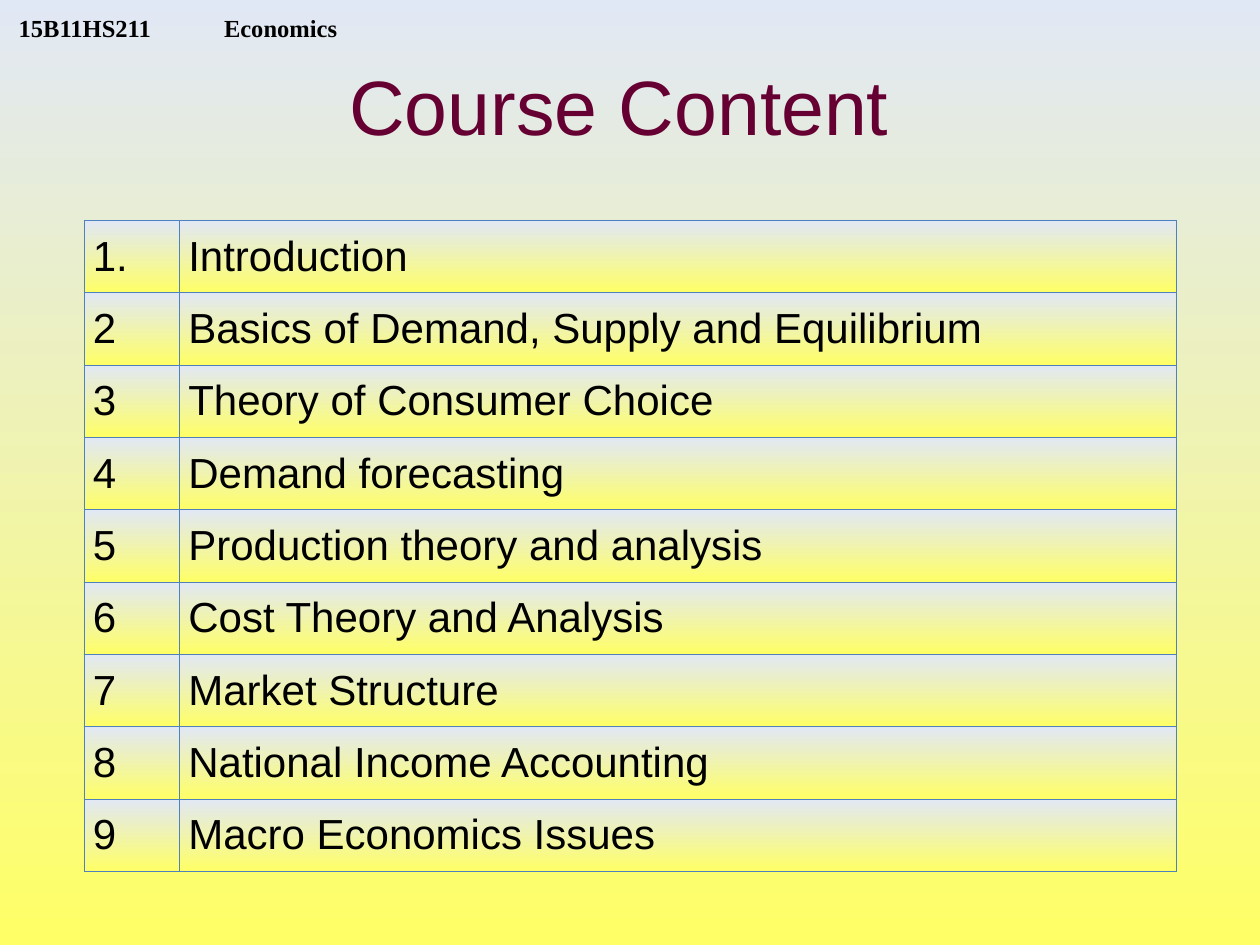
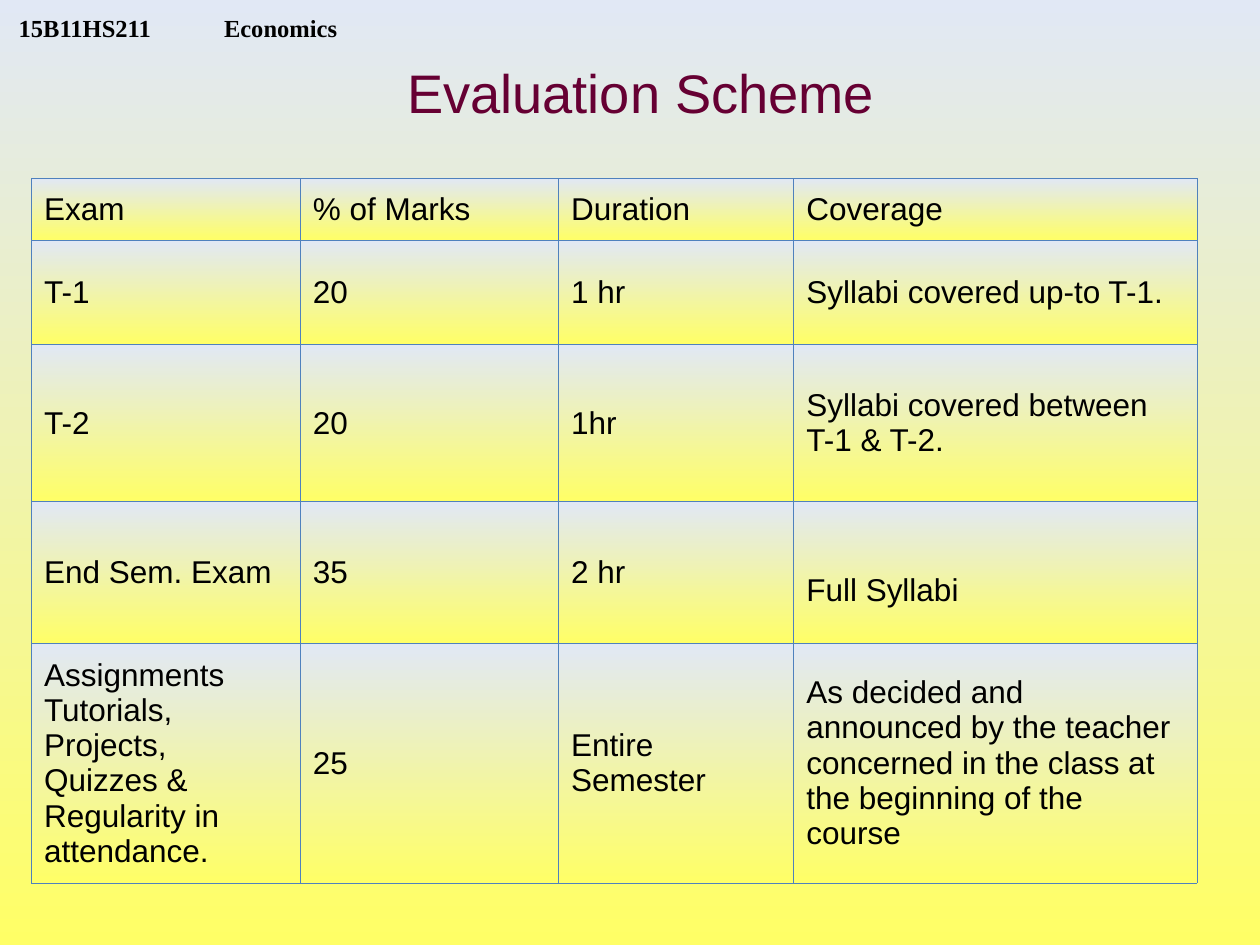
from dataclasses import dataclass

from lxml.etree import SubElement
from pptx import Presentation
from pptx.dml.color import RGBColor
from pptx.enum.text import MSO_ANCHOR as Anchor, MSO_AUTO_SIZE as AutoSize, PP_ALIGN as Align
from pptx.oxml import parse_xml
from pptx.oxml.ns import nsdecls, qn
from pptx.util import Emu, Inches, Pt


@dataclass(frozen=True)
class Theme:
    sky: str = "E1E8F5"
    yellow: str = "FFFF66"
    maroon: str = "660033"
    ink: str = "000000"
    border: str = "4F81BD"
    body_font: str = "Arial"
    header_font: str = "Times New Roman"
    header_size: int = 14
    border_width: float = 0.45


class Deck:
    columns, rows = 120, 90
    title_only = 5

    def __init__(self, theme):
        self.theme = theme
        self.presentation = Presentation()
        self.presentation.slide_width = Inches(10)
        self.presentation.slide_height = Inches(7.5)
        self.paint_gradient(self.presentation.slide_master.background.fill)
        self.slide = None

    def across(self, columns):
        return Emu(round(self.presentation.slide_width * columns / self.columns))

    def down(self, rows):
        return Emu(round(self.presentation.slide_height * rows / self.rows))

    def box(self, left, top, width, height):
        return self.across(left), self.down(top), self.across(width), self.down(height)

    def paint_gradient(self, fill):
        fill.gradient()
        fill.gradient_angle = 90
        for stop, color in zip(fill.gradient_stops, (self.theme.yellow, self.theme.sky)):
            stop.color.rgb = RGBColor.from_string(color)

    def style(self, paragraph, font_name, size, color, bold=False):
        font = paragraph.font
        font.name, font.size, font.bold = font_name, Pt(size), bold
        font.color.rgb = RGBColor.from_string(color)

    def add_slide(self, title, place, size):
        layout = self.presentation.slide_layouts[self.title_only]
        self.slide = self.presentation.slides.add_slide(layout)
        self.add_header("15B11HS211", "Economics")
        self.add_title(title, place, size)

    def add_header(self, code, course):
        shape = self.slide.shapes.add_textbox(*self.box(0.6, 0, 38.4, 4))
        frame = shape.text_frame
        frame.word_wrap = True
        frame.vertical_anchor = Anchor.BOTTOM
        frame.margin_top = frame.margin_bottom = 0
        paragraph = frame.paragraphs[0]
        paragraph.text = f"{code}\t{course}"
        tabs = SubElement(paragraph._p.get_or_add_pPr(), qn("a:tabLst"))
        SubElement(tabs, qn("a:tab"), pos=str(Inches(1.63)), algn="l")
        self.style(paragraph, self.theme.header_font, self.theme.header_size,
                   self.theme.ink, bold=True)

    def add_title(self, text, place, size):
        shape = self.slide.shapes.title
        shape.left, shape.top, shape.width, shape.height = self.box(*place)
        frame = shape.text_frame
        frame.text = text
        frame.auto_size = AutoSize.NONE
        frame.vertical_anchor = Anchor.MIDDLE
        paragraph = frame.paragraphs[0]
        paragraph.alignment = Align.CENTER
        self.style(paragraph, self.theme.body_font, size, self.theme.maroon)

    def add_table(self, records, left, top, widths, heights, size, side_margin):
        place = self.box(left, top, sum(widths), sum(heights))
        table = self.slide.shapes.add_table(len(heights), len(widths), *place).table
        table.first_row = table.horz_banding = False
        for column, width in zip(table.columns, widths):
            column.width = self.across(width)
        for row, height, record in zip(table.rows, heights, records):
            row.height = self.down(height)
            for cell, text in zip(row.cells, record):
                self.fill_cell(cell, text, size, side_margin)
        return table

    def fill_cell(self, cell, text, size, side_margin):
        cell.text = text
        cell.vertical_anchor = Anchor.MIDDLE
        cell.margin_left = cell.margin_right = Inches(side_margin)
        cell.margin_top = cell.margin_bottom = Inches(0.05)
        self.style(cell.text_frame.paragraphs[0], self.theme.body_font, size, self.theme.ink)
        self.paint_gradient(cell.fill)
        properties = cell._tc.get_or_add_tcPr()
        for index, side in enumerate("LRTB"):
            properties.insert(index, parse_xml(
                f'<a:ln{side} {nsdecls("a")} w="{Pt(self.theme.border_width)}"><a:solidFill>'
                f'<a:srgbClr val="{self.theme.border}"/></a:solidFill></a:ln{side}>'))


def add_course_content(deck):
    topics = [
        "Introduction",
        "Basics of Demand, Supply and Equilibrium",
        "Theory of Consumer Choice",
        "Demand forecasting",
        "Production theory and analysis",
        "Cost Theory and Analysis",
        "Market Structure",
        "National Income Accounting",
        "Macro Economics Issues",
    ]
    records = [("1." if number == 1 else str(number), topic)
               for number, topic in enumerate(topics, 1)]
    deck.add_slide("Course Content ", (9, 5, 102, 10), size=44)
    deck.add_table(records, 8, 21, widths=(9.1, 94.9), heights=[62 / len(topics)] * len(topics),
                   size=24, side_margin=0.07)


def add_evaluation_scheme(deck):
    records = [
        ("Exam", "% of Marks", "Duration", "Coverage"),
        ("T-1", "20", "1 hr", "Syllabi covered up-to T-1."),
        ("T-2", "20", "1hr", "Syllabi covered between T-1 & T-2."),
        ("End Sem. Exam", "35", "2 hr", "Full Syllabi"),
        ("Assignments Tutorials, Projects, Quizzes & Regularity in attendance.", "25",
         "Entire Semester",
         "As decided and announced by the teacher concerned in the class "
         "at the beginning of the course"),
    ]
    deck.add_slide("Evaluation Scheme", (10, 5, 102, 7.5), size=31)
    table = deck.add_table(records, 3, 17, widths=(25.6, 24.6, 22.4, 38.4),
                           heights=(5.9, 9.9, 15, 13.5, 22.8), size=18, side_margin=0.1)
    table.cell(3, 3).margin_top = Inches(0.33)


def main():
    deck = Deck(Theme())
    add_course_content(deck)
    add_evaluation_scheme(deck)
    deck.presentation.save("out.pptx")


if __name__ == "__main__":
    main()
